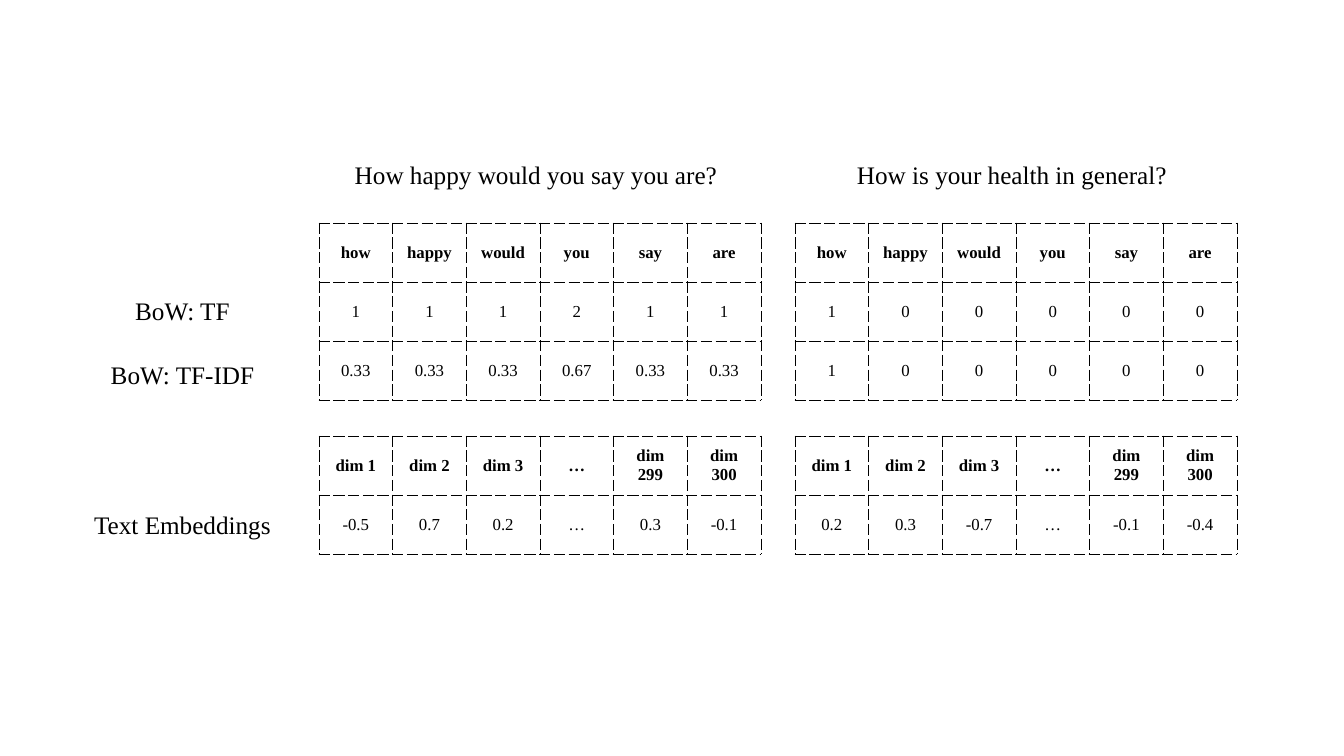
from lxml import etree
from pptx import Presentation
from pptx import util as u
from pptx.dml.color import RGBColor
from pptx.enum import text
from pptx.oxml import ns

SCALE = 914400 / 100.8
FONT = "Times New Roman"
COLOURS = {"ink": "000000", "paper": "FFFFFF"}
TEXT_HEIGHT, ROW_HEIGHT = 64, 59
WORDS = ["how", "happy", "would", "you", "say", "are"]
DIMENSIONS = ["dim 1", "dim 2", "dim 3", "…", "dim 299", "dim 300"]
LABELS = {"BoW: TF": 278, "BoW: TF-IDF": 342, "Text Embeddings": 492}
PANELS = [
    (319, "How happy would you say you are?",
     [["1", "1", "1", "2", "1", "1"],
      ["0.33", "0.33", "0.33", "0.67", "0.33", "0.33"]],
     ["-0.5", "0.7", "0.2", "…", "0.3", "-0.1"]),
    (795, "How is your health in general?",
     [["1"] + ["0"] * 5] * 2,
     ["0.2", "0.3", "-0.7", "…", "-0.1", "-0.4"]),
]


def px(length):
    """Convert pixels to EMU."""
    return u.Emu(round(length * SCALE))


def style_paragraph(paragraph, size, bold=False):
    """Centre a paragraph and set its font."""
    paragraph.alignment = text.PP_ALIGN.CENTER
    font = paragraph.font
    font.name, font.size, font.bold = FONT, u.Pt(size), bold
    font.color.rgb = RGBColor.from_string(COLOURS["ink"])


def add_label(slide, words, left, top, width):
    """Add a centred line of text in a box."""
    box = slide.shapes.add_textbox(px(left), px(top), px(width), px(TEXT_HEIGHT))
    frame = box.text_frame
    frame.word_wrap = True
    frame.vertical_anchor = text.MSO_ANCHOR.MIDDLE
    frame.text = words
    style_paragraph(frame.paragraphs[0], 18)


def dash_borders(cell):
    """Give all four sides of a cell a thin dashed line."""
    properties = cell._tc.get_or_add_tcPr()
    for side in ("a:lnL", "a:lnR", "a:lnT", "a:lnB"):
        line = etree.SubElement(properties, ns.qn(side), w=str(u.Pt(0.5)))
        fill = etree.SubElement(line, ns.qn("a:solidFill"))
        etree.SubElement(fill, ns.qn("a:srgbClr"), val=COLOURS["ink"])
        etree.SubElement(line, ns.qn("a:prstDash"), val="sysDash")


def add_grid(slide, rows, left, top, width):
    """Add a dashed table whose first row is bold."""
    frame = slide.shapes.add_table(len(rows), len(rows[0]), px(left), px(top),
                                   px(width), px(ROW_HEIGHT * len(rows)))
    table = frame.table
    table.first_row = table.horz_banding = False
    for row_index, values in enumerate(rows):
        for column_index, value in enumerate(values):
            cell = table.cell(row_index, column_index)
            cell.text = value
            cell.vertical_anchor = text.MSO_ANCHOR.MIDDLE
            style_paragraph(cell.text_frame.paragraphs[0], 12, row_index == 0)
            dash_borders(cell)
            cell.fill.background()


def add_panel(slide, left, top, width, question, counts, embedding):
    """Add one question above its word table and its embedding table."""
    add_label(slide, question, left - 4, top, width)
    add_grid(slide, [WORDS] + counts, left, top + 81, width)
    add_grid(slide, [DIMENSIONS, embedding], left, top + 294, width)


def add_row_labels(slide, left, width):
    """Add the names of the representations."""
    for words, top in LABELS.items():
        add_label(slide, words, left, top, width)


def main():
    """Build and save the slide."""
    presentation = Presentation()
    presentation.slide_width, presentation.slide_height = px(1344), px(756)
    slide = presentation.slides.add_slide(presentation.slide_layouts[6])
    background = slide.background.fill
    background.solid()
    background.fore_color.rgb = RGBColor.from_string(COLOURS["paper"])
    add_row_labels(slide, 69, 227)
    for left, question, counts, embedding in PANELS:
        add_panel(slide, left, 142, 442, question, counts, embedding)
    presentation.save("out.pptx")


main()
